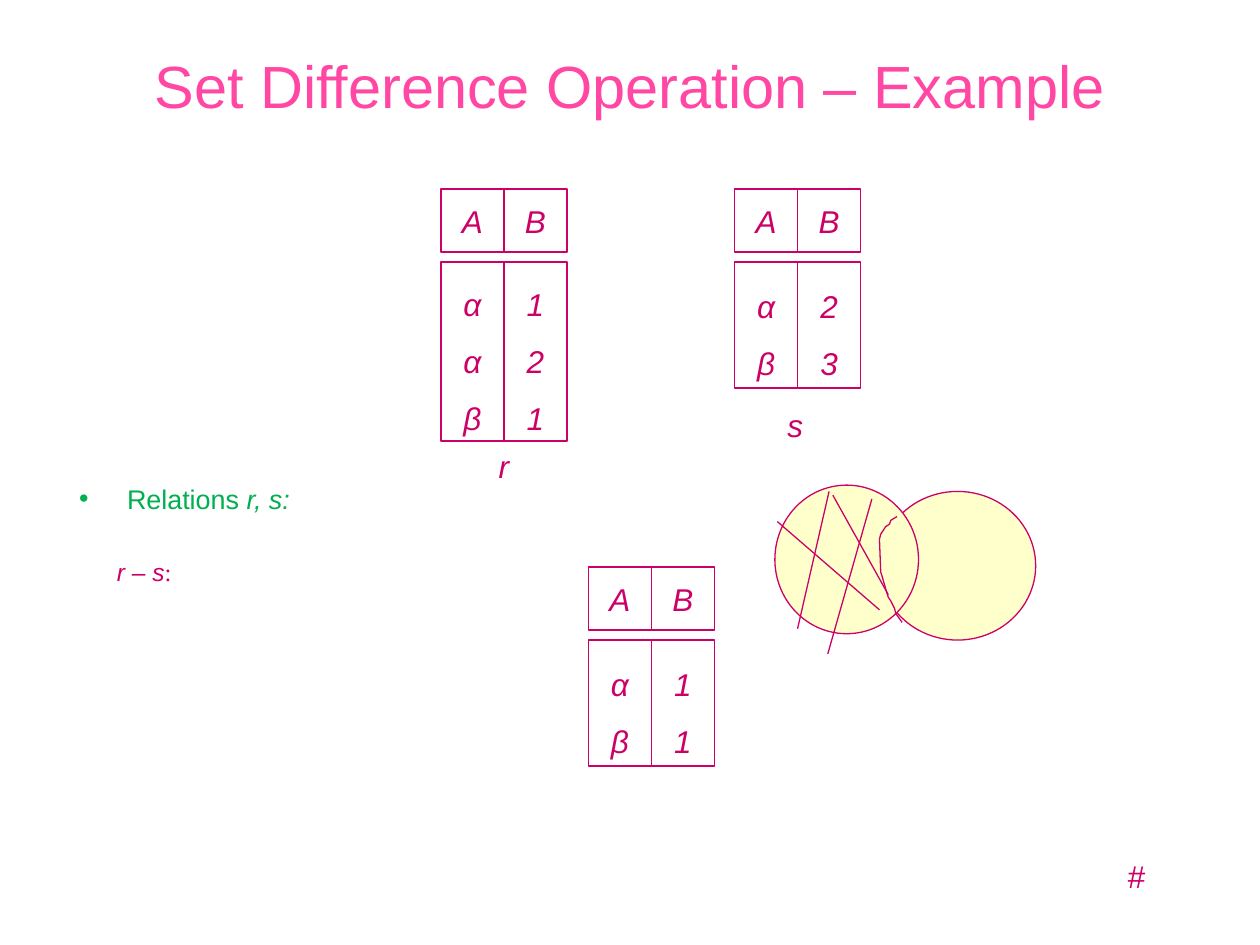
"""Build the set difference example slide."""
from lxml import etree
from pptx import Presentation
from pptx import util as u
from pptx.dml.color import RGBColor
from pptx.enum import shapes, text
from pptx.oxml.ns import qn

MAGENTA = RGBColor(0xCC, 0x00, 0x66)
PINK = RGBColor(0xFF, 0x47, 0xA3)
GREEN = RGBColor(0x00, 0xB0, 0x50)
CREAM = RGBColor(0xFF, 0xFF, 0xCC)
WHITE = RGBColor(0xFF, 0xFF, 0xFF)
CELL = 0.5
BODY_OFFSET = 0.58
CENTERED = {"alignment": text.PP_ALIGN.CENTER}
ITALIC = {"size": u.Pt(18), "name": "Arial", "italic": True}


def set_values(target, values):
    """Set each attribute of the target from a dict."""
    for name, value in values.items():
        setattr(target, name, value)


def add_runs(paragraph, runs, color):
    """Add runs given as pairs of wording and font values."""
    for wording, font in runs:
        run = paragraph.add_run()
        run.text = wording
        set_values(run.font, font)
        run.font.color.rgb = color


def add_text(slide, box, runs, color=MAGENTA, layout=None, frame=None):
    """Add a one-paragraph text box and return its paragraph."""
    shape = slide.shapes.add_textbox(*map(u.Inches, box))
    set_values(shape.text_frame, {"word_wrap": True, **(frame or {})})
    paragraph = shape.text_frame.paragraphs[0]
    set_values(paragraph, layout or {})
    add_runs(paragraph, runs, color)
    return paragraph


def add_label(slide, box, wording, anchor=text.MSO_ANCHOR.MIDDLE, layout=CENTERED):
    """Add a short italic label that does not wrap."""
    frame = {"word_wrap": False, "vertical_anchor": anchor,
             "auto_size": text.MSO_AUTO_SIZE.SHAPE_TO_FIT_TEXT}
    add_text(slide, box, [(wording, ITALIC)], layout=layout, frame=frame)


def set_indent(paragraph, bullet=None):
    """Give a paragraph a hanging indent and an optional bullet."""
    properties = paragraph._p.get_or_add_pPr()
    properties.set("marL", str(u.Inches(0.38)))
    properties.set("indent", str(u.Inches(-0.38)))
    if bullet:
        color = etree.SubElement(properties, qn("a:buClr"))
        etree.SubElement(color, qn("a:srgbClr")).set("val", str(GREEN))
        etree.SubElement(properties, qn("a:buFont")).set("typeface", "Arial")
        etree.SubElement(properties, qn("a:buChar")).set("char", bullet)


def set_outline(shape):
    """Give a shape or connector the thin magenta line."""
    shape.line.color.rgb = MAGENTA
    shape.line.width = u.Pt(0.75)


def add_outlined(slide, kind, box, fill):
    """Add a filled preset shape with a thin outline."""
    shape = slide.shapes.add_shape(kind, *map(u.Inches, box))
    shape.shadow.inherit = False
    shape.fill.solid()
    shape.fill.fore_color.rgb = fill
    set_outline(shape)
    return shape


def add_cell(slide, box, values, spacing):
    """Add a rectangle that stacks its values."""
    shape = add_outlined(slide, shapes.MSO_SHAPE.RECTANGLE, box, WHITE)
    frame = shape.text_frame
    set_values(frame, {"word_wrap": False, "vertical_anchor": text.MSO_ANCHOR.MIDDLE})
    for index, value in enumerate(values):
        paragraph = frame.add_paragraph() if index else frame.paragraphs[0]
        set_values(paragraph, {**CENTERED, "line_spacing": spacing})
        add_runs(paragraph, [(value, ITALIC)], MAGENTA)


def add_relation(slide, left, top, height, columns):
    """Add a relation with a header row above its columns."""
    for index, (header, values) in enumerate(columns.items()):
        x = left + index * CELL
        add_cell(slide, (x, top, CELL, CELL), header, 1.0)
        add_cell(slide, (x, top + BODY_OFFSET, CELL, height), values, 1.5)


def add_hatch(slide, start, end):
    """Add a straight stroke of the hatching."""
    line = slide.shapes.add_connector(
        shapes.MSO_CONNECTOR.STRAIGHT, *map(u.Inches, start + end))
    set_outline(line)
    etree.SubElement(line._element.spPr, qn("a:effectLst"))


def add_stroke(slide, points):
    """Add an open hand-drawn outline."""
    start, *rest = [tuple(map(u.Inches, point)) for point in points]
    builder = slide.shapes.build_freeform(*start)
    builder.add_line_segments(rest, close=False)
    shape = builder.convert_to_shape()
    shape.shadow.inherit = False
    shape.fill.background()
    set_outline(shape)


def add_venn(slide):
    """Add the two sets with the difference hatched."""
    for box in ((6.98, 3.9, 1.24, 1.18), (6.15, 3.85, 1.14, 1.18)):
        add_outlined(slide, shapes.MSO_SHAPE.OVAL, box, CREAM)
    add_stroke(slide, [
        (7.12, 4.1), (7.07, 4.13), (7.06, 4.16), (7.03, 4.18), (6.99, 4.24),
        (6.98, 4.28), (6.99, 4.54), (7, 4.57), (7.04, 4.71), (7.05, 4.74),
        (7.07, 4.77), (7.1, 4.83), (7.11, 4.87), (7.16, 4.94)])
    for start, end in (((6.61, 3.93), (7.05, 4.72)), ((6.17, 4.14), (6.98, 4.84)),
                       ((6.58, 3.9), (6.33, 4.99)), ((6.92, 3.96), (6.57, 5.19))):
        add_hatch(slide, start, end)


def main():
    """Build and save the slide."""
    presentation = Presentation()
    presentation.slide_width, presentation.slide_height = u.Inches(10), u.Inches(7.5)
    slide = presentation.slides.add_slide(presentation.slide_layouts[6])

    add_label(slide, (8.85, 6.75, 0.34, 0.4), "#", text.MSO_ANCHOR.TOP, {})
    add_text(slide, (0.75, 0.17, 8.5, 1),
             [("Set Difference Operation – Example", {"size": u.Pt(34), "name": "Arial"})],
             PINK, CENTERED, {"vertical_anchor": text.MSO_ANCHOR.MIDDLE})

    body = {"size": u.Pt(15.4), "name": "Arial"}
    relations = add_text(slide, (0.53, 3.78, 7.69, 0.36),
                         [("Relations ", body), ("r, s:", {**body, "italic": True})], GREEN)
    set_indent(relations, "•")
    small = {"size": u.Pt(14)}
    difference = add_text(slide, (0.83, 4.42, 7.69, 0.36),
                          [("r – s", {**small, "name": "Arial", "italic": True}),
                           (":", {**small, "name": "Times New Roman"})],
                          layout={"line_spacing": 0.8})
    set_indent(difference)

    add_relation(slide, 3.5, 1.5, 1.42, {"A": "ααβ", "B": "121"})
    add_relation(slide, 5.83, 1.5, 1, {"A": "αβ", "B": "23"})
    add_relation(slide, 4.67, 4.5, 1, {"A": "αβ", "B": "11"})
    add_label(slide, (3.86, 3.5, 0.28, 0.4), "r")
    add_label(slide, (6.15, 3.17, 0.32, 0.4), "s")
    add_venn(slide)
    presentation.save("out.pptx")


if __name__ == "__main__":
    main()
